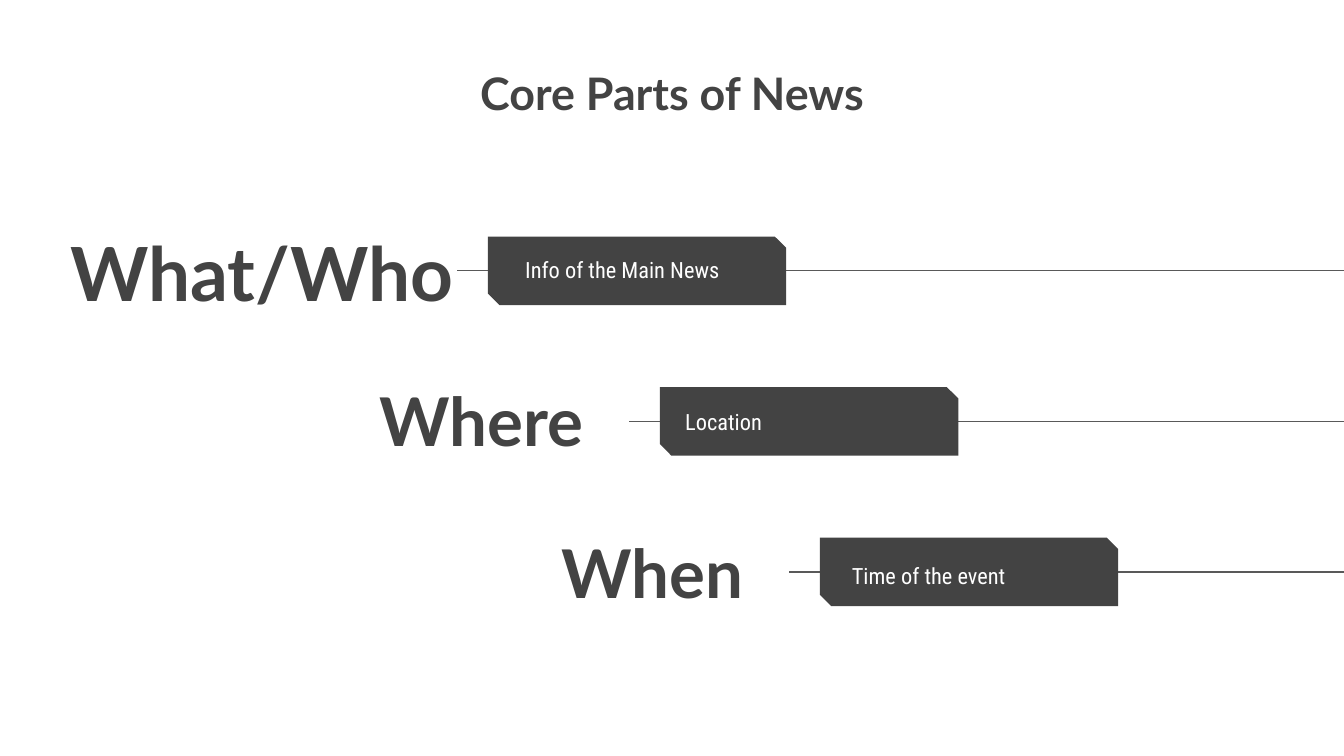
from pptx import Presentation
from pptx.dml.color import RGBColor
from pptx.enum.shapes import MSO_CONNECTOR, MSO_SHAPE
from pptx.enum.text import MSO_ANCHOR, PP_ALIGN
from pptx.oxml.ns import qn
from pptx.util import Inches, Pt
from lxml import etree

STRAIGHT = MSO_CONNECTOR.STRAIGHT
SNIPPED = MSO_SHAPE.SNIP_2_DIAG_RECTANGLE
TOP, MIDDLE = MSO_ANCHOR.TOP, MSO_ANCHOR.MIDDLE
LEFT, CENTER, RIGHT = PP_ALIGN.LEFT, PP_ALIGN.CENTER, PP_ALIGN.RIGHT

COLORS = {"dark": "434343", "line": "595959", "white": "FFFFFF"}
HEADING, BODY = "Lato", "Roboto Condensed"
SLIDE_W = 10
SLIDE_H = SLIDE_W * 9 / 16
TAG_W, TAG_H = 2.22, 0.51

# tag (left, top), label, size, label box, note, note box, note anchor;
# label and note boxes are (left, top, width, height) from the tag's corner
ROWS = [
    ((3.63, 1.76), "What/Who", 40, (-3.63, -0.15, 3.47, 0.83),
     "Info of the Main News", (0.18, 0.06, 3.57, 0.37), MIDDLE),
    ((4.91, 2.88), "Where", 36, (-2.4, -0.17, 1.93, 0.83),
     "Location", (0.09, 0.06, 3.57, 0.37), TOP),
    ((6.1, 4), "When", 36, (-2.43, -0.16, 1.96, 0.83),
     "Time of the event", (0.14, 0.08, 3.57, 0.37), TOP),
]


def color(name):
    return RGBColor.from_string(COLORS[name])


def add_text(s, box, text, size, font, fill, align, anchor, bold=False):
    tb = s.shapes.add_textbox(*map(Inches, box))
    tf = tb.text_frame
    tf.word_wrap = True
    tf.vertical_anchor = anchor
    tf.margin_left = tf.margin_right = Inches(0.1)
    tf.margin_top = tf.margin_bottom = Inches(0.1)
    p = tf.paragraphs[0]
    p.alignment = align
    r = p.add_run()
    r.text = text
    r.font.size = Pt(size)
    r.font.name = font
    r.font.bold = bold
    r.font.color.rgb = color(fill)


def add_tag(s, x, y):
    """Snipped box over a line that runs to the right edge of the slide."""
    group = s.shapes.add_group_shape()
    line_y = Inches(y + TAG_H / 2)
    line = group.shapes.add_connector(
        STRAIGHT, Inches(SLIDE_W), line_y, Inches(x - 0.23), line_y)
    line.line.color.rgb = color("line")
    line.line.width = Pt(0.75)
    etree.SubElement(line._element.spPr, qn("a:effectLst"))

    sp = group.shapes.add_shape(
        SNIPPED, Inches(x), Inches(y), Inches(TAG_W), Inches(TAG_H))
    sp.adjustments[0] = 0
    sp.adjustments[1] = 0.167
    sp.shadow.inherit = False
    sp.fill.solid()
    sp.fill.fore_color.rgb = color("dark")
    sp.line.fill.background()


def add_row(s, corner, label, size, label_box, note, note_box, anchor):
    x, y = corner

    def placed(box):
        left, top, width, height = box
        return x + left, y + top, width, height

    add_tag(s, x, y)
    add_text(s, placed(label_box), label, size, HEADING, "dark", RIGHT,
             MIDDLE, bold=True)
    add_text(s, placed(note_box), note, 12, BODY, "white", LEFT, anchor)


def main():
    prs = Presentation()
    prs.slide_width, prs.slide_height = Inches(SLIDE_W), Inches(SLIDE_H)
    s = prs.slides.add_slide(prs.slide_layouts[6])
    s.background.fill.solid()
    s.background.fill.fore_color.rgb = color("white")
    add_text(s, (2.15, 0.39, 5.7, 1.03), "Core Parts of News", 24, HEADING,
             "dark", CENTER, TOP, bold=True)
    for row in ROWS:
        add_row(s, *row)
    prs.save("out.pptx")


if __name__ == "__main__":
    main()
